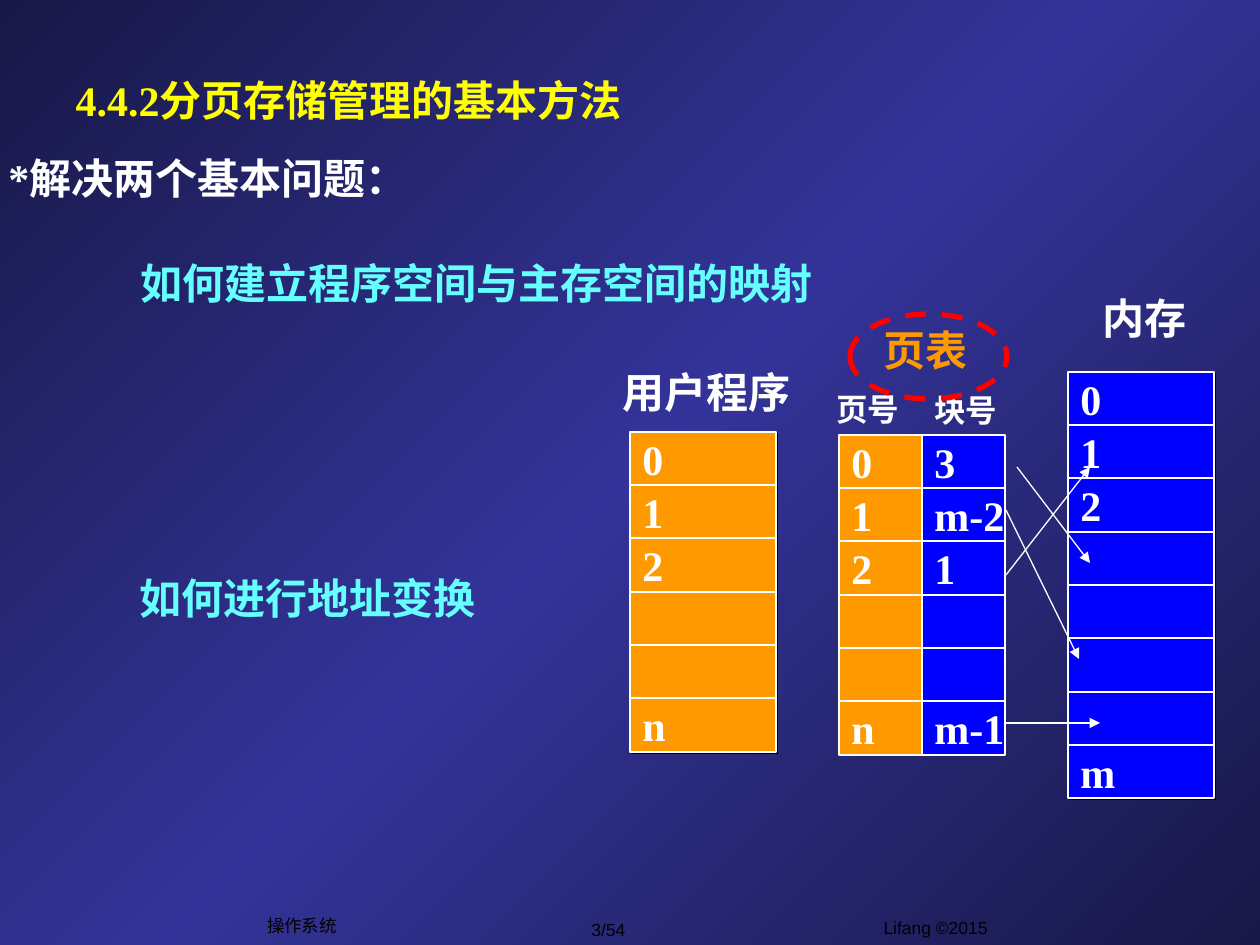
from pptx import Presentation
from pptx.dml.color import RGBColor
from pptx.enum.dml import MSO_LINE
from pptx.enum.shapes import MSO_CONNECTOR, MSO_SHAPE
from pptx.enum.text import MSO_ANCHOR, MSO_AUTO_SIZE, PP_ALIGN
from pptx.oxml import parse_xml
from pptx.oxml.ns import nsdecls, qn
from pptx.util import Pt

PX = 914400 / 126
COLORS = {
    "white": "FFFFFF", "black": "000000", "yellow": "FFFF00", "cyan": "66FFFF",
    "orange": "FF9900", "blue": "0000FF", "red": "FF0000",
    "edge": "181847", "middle": "333399",
}


def px(*lengths):
    return [round(length * PX) for length in lengths]


def rgb(color):
    return RGBColor.from_string(COLORS[color])


class SlideBuilder:
    HEADING = {"size": Pt(24), "bold": True, "name": "Times New Roman"}
    LABEL = {**HEADING, "size": Pt(18)}
    FOOTER = {"size": Pt(10), "bold": False, "name": "Arial"}

    def __init__(self, slide):
        self.slide = slide

    def background(self, stops):
        gradient = "".join(
            f'<a:gs pos="{position * 1000}"><a:srgbClr val="{COLORS[color]}"/></a:gs>'
            for position, color in stops)
        self.slide.element.cSld.insert(0, parse_xml(
            f'<p:bg {nsdecls("p", "a")}><p:bgPr><a:gradFill rotWithShape="0">'
            f'<a:gsLst>{gradient}</a:gsLst><a:lin ang="2700000" scaled="1"/>'
            '</a:gradFill><a:effectLst/></p:bgPr></p:bg>'))

    def fill_text(self, frame, text, color, style, align=PP_ALIGN.LEFT,
                  anchor=MSO_ANCHOR.TOP, wrap=False):
        layout = {"auto_size": MSO_AUTO_SIZE.NONE, "word_wrap": wrap,
                  "vertical_anchor": anchor}
        for attribute, value in layout.items():
            setattr(frame, attribute, value)
        paragraph = frame.paragraphs[0]
        paragraph.alignment = align
        run = paragraph.add_run()
        run.text = text
        for attribute, value in style.items():
            setattr(run.font, attribute, value)
        run.font.color.rgb = rgb(color)

    def title(self, text, box):
        title = self.slide.shapes.title
        title.left, title.top, title.width, title.height = px(*box)
        self.fill_text(title.text_frame, text, "yellow", self.HEADING,
                       anchor=MSO_ANCHOR.MIDDLE, wrap=True)

    def text(self, text, box, color="white", style=HEADING, **layout):
        textbox = self.slide.shapes.add_textbox(*px(*box))
        self.fill_text(textbox.text_frame, text, color, style, **layout)

    def shape(self, preset, box, line, weight, fill=None):
        shape = self.slide.shapes.add_shape(preset, *px(*box))
        if fill:
            shape.fill.solid()
            shape.fill.fore_color.rgb = rgb(fill)
        else:
            shape.fill.background()
        shape.line.color.rgb = rgb(line)
        shape.line.width = Pt(weight)
        shape.shadow.inherit = False
        return shape

    def column(self, cells, left, top, width, fill, shadow=False):
        """Stack one box per cell; three boxes are 160 px high."""
        edges = [top + row * 160 // 3 for row in range(len(cells) + 1)]
        for content, upper, lower in zip(cells, edges, edges[1:]):
            cell = self.shape(MSO_SHAPE.RECTANGLE, (left, upper, width, lower - upper),
                              "white", 0.75, fill)
            if content:
                self.fill_text(cell.text_frame, content, "white", self.HEADING,
                               anchor=MSO_ANCHOR.MIDDLE)
            if shadow:
                cell.element.spPr.find(qn("a:effectLst")).append(parse_xml(
                    f'<a:outerShdw {nsdecls("a")} dist="{int(Pt(1.4))}" dir="2700000" '
                    f'algn="ctr" rotWithShape="0"><a:srgbClr val="{COLORS["black"]}"/>'
                    '</a:outerShdw>'))

    def arrow(self, *ends):
        arrow = self.slide.shapes.add_connector(MSO_CONNECTOR.STRAIGHT, *px(*ends))
        arrow.line.color.rgb = rgb("white")
        arrow.line.width = Pt(0.75)
        properties = arrow.element.spPr
        properties.find(qn("a:ln")).append(
            parse_xml(f'<a:tailEnd {nsdecls("a")} type="triangle"/>'))
        properties.append(parse_xml(f'<a:effectLst {nsdecls("a")}/>'))


def main():
    presentation = Presentation()
    presentation.slide_width, presentation.slide_height = px(1260, 945)
    page = SlideBuilder(presentation.slides.add_slide(presentation.slide_layouts[5]))
    page.background([(0, "edge"), (50, "middle"), (100, "edge")])

    footer = {"color": "black", "style": page.FOOTER, "align": PP_ALIGN.CENTER}
    page.text("Lifang ©2015", (736, 911, 399, 34), **footer)
    page.text("3/54", (544, 912, 129, 34), anchor=MSO_ANCHOR.MIDDLE, **footer)
    page.text("操作系统", (255, 908, 94, 34), anchor=MSO_ANCHOR.MIDDLE, **footer)

    page.title("4.4.2分页存储管理的基本方法", (63, 21, 1071, 158))
    page.text("*解决两个基本问题：", (-4, 146, 559, 63))
    page.text("如何建立程序空间与主存空间的映射", (128, 251, 697, 63), "cyan")
    page.text("如何进行地址变换", (127, 566, 360, 63), "cyan")

    page.text("用户程序", (610, 360, 193, 63))
    page.column(["0", "1", "2", "", "", "n"], 630, 432, 146, "orange", shadow=True)

    page.text("内存", (1090, 286, 108, 63))
    page.column(["0", "1", "2", "", "", "", "", "m"], 1068, 372, 146, "blue", shadow=True)

    page.column(["0", "1", "2", "", "", "n"], 839, 435, 83, "orange")
    page.column(["3", "m-2", "1", "", "", "m-1"], 922, 435, 83, "blue")
    page.text("页表", (871, 318, 108, 63), "orange")
    page.text("页号", (824, 384, 88, 50), style=page.LABEL)
    page.text("块号", (922, 385, 88, 50), style=page.LABEL)

    for ends in [(1017, 467, 1090, 563), (1006, 510, 1079, 659),
                 (1006, 575, 1090, 467), (1006, 723, 1100, 723)]:
        page.arrow(*ends)
    page_table_ring = page.shape(MSO_SHAPE.OVAL, (850, 314, 157, 85), "red", 3)
    page_table_ring.line.dash_style = MSO_LINE.DASH

    presentation.save("out.pptx")


if __name__ == "__main__":
    main()
